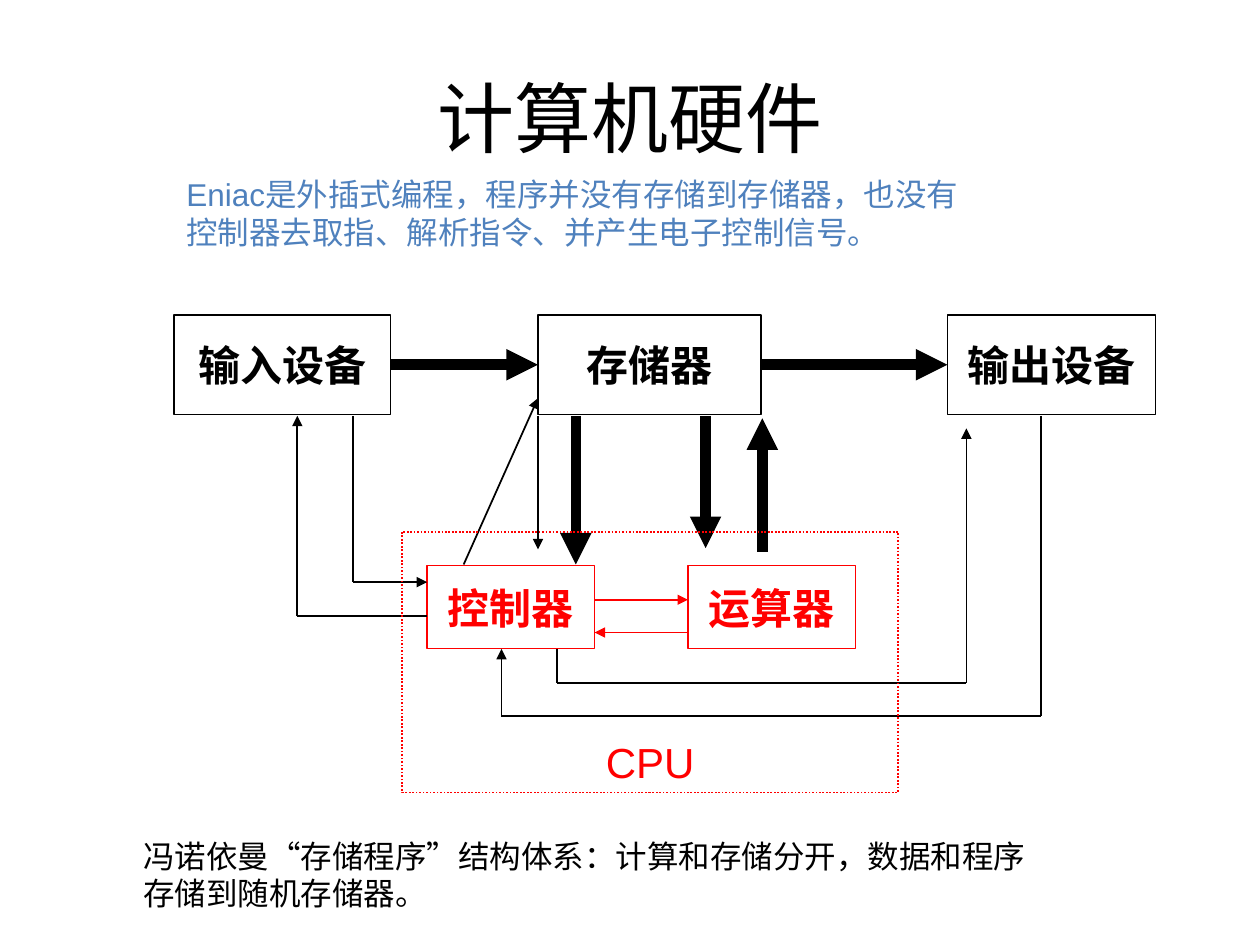
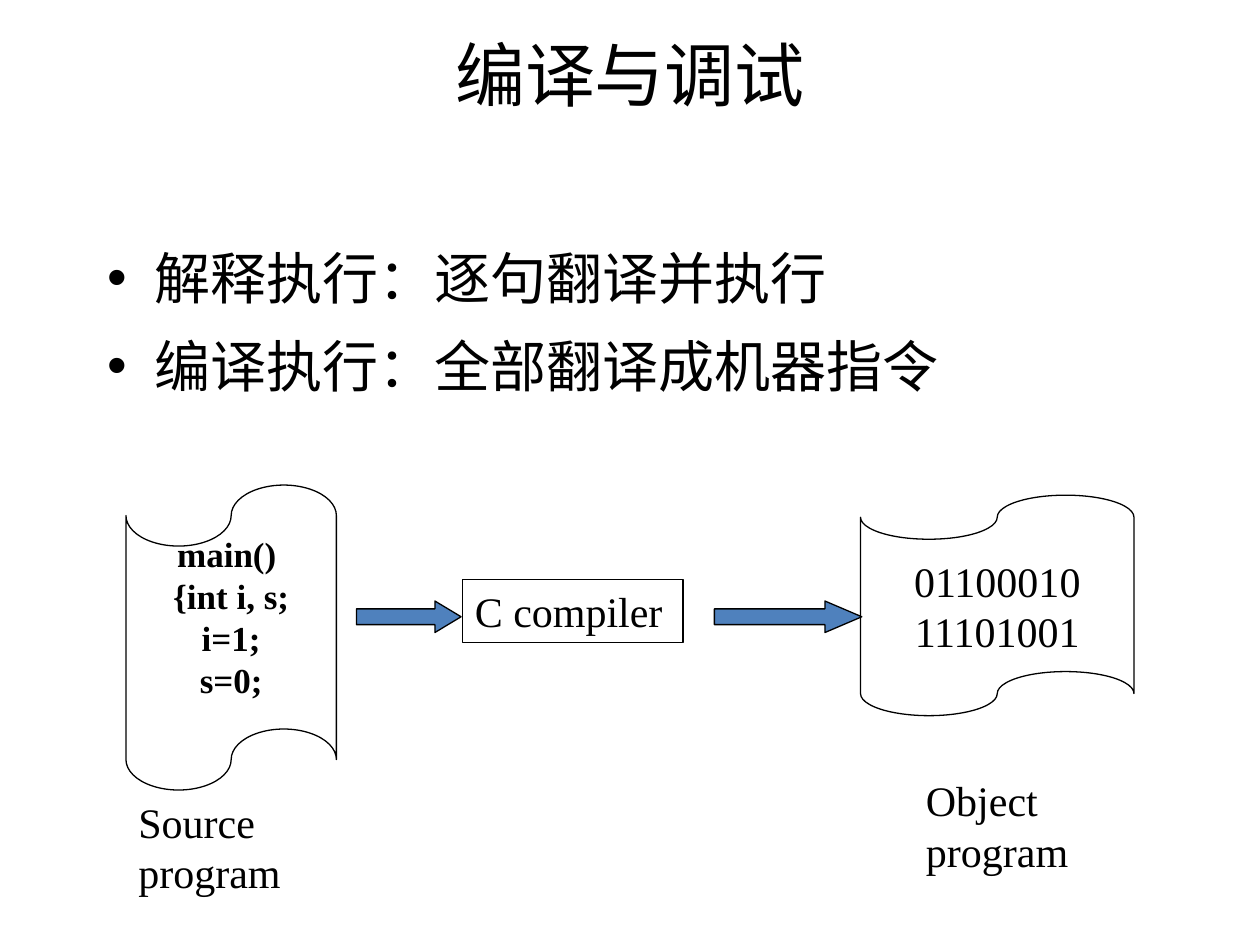
from itertools import pairwise

from lxml.etree import SubElement
from pptx import Presentation
from pptx.dml.color import RGBColor
from pptx.enum.dml import MSO_LINE
from pptx.enum.shapes import MSO_CONNECTOR, MSO_SHAPE
from pptx.enum.text import MSO_ANCHOR, MSO_AUTO_SIZE, PP_ALIGN
from pptx.oxml.ns import qn
from pptx.util import Inches, Pt

BLACK = RGBColor(0x00, 0x00, 0x00)
RED = RGBColor(0xFF, 0x00, 0x00)
BLUE = RGBColor(0x4F, 0x81, 0xBD)

TITLE_FONT = "Calibri"
DIAGRAM_FONT = "Times New Roman"
NOTE_FONT = "Arial"

TITLE_ONLY, TITLE_AND_CONTENT = 5, 1
LEFT, RIGHT = 1, 3
THIN, THICK = 1, 6


class Deck:
    def __init__(self):
        self.presentation = Presentation()
        self.presentation.slide_width = Inches(10)
        self.presentation.slide_height = Inches(7.5)
        self.slide = None

    def new_slide(self, layout, title, title_height, title_size):
        layouts = self.presentation.slide_layouts
        self.slide = self.presentation.slides.add_slide(layouts[layout])
        shape = self.slide.shapes.title
        self.place(shape, 0.5, 0.3, 9, title_height)
        self.fill_text(shape, [title], TITLE_FONT, title_size, align=PP_ALIGN.CENTER,
                       anchor=MSO_ANCHOR.MIDDLE)

    def place(self, shape, left, top, width, height):
        shape.left, shape.top = Inches(left), Inches(top)
        shape.width, shape.height = Inches(width), Inches(height)

    def fill_text(self, shape, lines, font, size, color=BLACK, bold=False,
                  align=PP_ALIGN.LEFT, anchor=MSO_ANCHOR.TOP, wrap=True):
        frame = shape.text_frame
        frame.auto_size = MSO_AUTO_SIZE.NONE
        frame.word_wrap = wrap
        frame.vertical_anchor = anchor
        for index, line in enumerate(lines):
            paragraph = frame.add_paragraph() if index else frame.paragraphs[0]
            paragraph.alignment = align
            run = paragraph.add_run()
            run.text = line
            run.font.name = font
            run.font.size = Pt(size)
            run.font.bold = bold
            run.font.color.rgb = color

    def bullets(self, lines, left, top, width, height):
        body = self.slide.placeholders[1]
        self.place(body, left, top, width, height)
        self.fill_text(body, lines, TITLE_FONT, 32)
        for index, paragraph in enumerate(body.text_frame.paragraphs):
            paragraph.line_spacing = 1.1
            paragraph.space_before = Pt(8 if index else 0)

    def text(self, content, left, top, width, height, font, size, color=BLACK,
             align=PP_ALIGN.LEFT):
        box = self.slide.shapes.add_textbox(
            Inches(left), Inches(top), Inches(width), Inches(height))
        self.fill_text(box, [content], font, size, color, align=align)

    def shape(self, kind, left, top, width, height, color=BLACK, fill=None,
              line_width=0.75):
        shape = self.slide.shapes.add_shape(
            kind, Inches(left), Inches(top), Inches(width), Inches(height))
        shape.shadow.inherit = False
        if fill is None:
            shape.fill.background()
        else:
            shape.fill.solid()
            shape.fill.fore_color.rgb = fill
        shape.line.color.rgb = color
        shape.line.width = Pt(line_width)
        return shape

    def unit(self, name, left, top, width, height, color=BLACK):
        """Draw one labelled hardware unit."""
        box = self.shape(MSO_SHAPE.RECTANGLE, left, top, width, height, color)
        self.fill_text(box, [name], DIAGRAM_FONT, 24, color, bold=True,
                       align=PP_ALIGN.CENTER, anchor=MSO_ANCHOR.MIDDLE)
        return box

    def tape(self, lines, left, top, width, height, size, bold=False):
        tape = self.shape(MSO_SHAPE.FLOWCHART_PUNCHED_TAPE, left, top, width, height)
        self.fill_text(tape, lines, DIAGRAM_FONT, size, bold=bold,
                       align=PP_ALIGN.CENTER, anchor=MSO_ANCHOR.MIDDLE, wrap=False)
        return tape

    def block_arrow(self, left, width, height=0.25):
        """Draw a block arrow whose head takes a quarter of its length."""
        arrow = self.shape(MSO_SHAPE.RIGHT_ARROW, left, 4.77, width, height, fill=BLUE)
        arrow.adjustments[1] = width / 4 / height

    def line(self, start, end, width=THIN, color=BLACK, arrow=True):
        connector = self.slide.shapes.add_connector(
            MSO_CONNECTOR.STRAIGHT, *(Inches(value) for value in (*start, *end)))
        connector.line.color.rgb = color
        connector.line.width = Pt(width)
        properties = connector._element.spPr
        if arrow:
            SubElement(properties.find(qn("a:ln")), qn("a:tailEnd"), type="triangle")
        SubElement(properties, qn("a:effectLst"))
        return connector

    def route(self, *points):
        """Join the points with thin lines, with an arrowhead on the last."""
        for start, end in pairwise(points):
            self.line(start, end, arrow=end == points[-1])

    def link(self, source, target):
        """Join the right side of one unit to the left side of another."""
        connector = self.line((0, 0), (1, 0), THICK)
        connector.begin_connect(source, RIGHT)
        connector.end_connect(target, LEFT)


def hardware_slide(deck):
    deck.new_slide(TITLE_ONLY, "计算机硬件", 1.25, 44)

    device_top, device_height = 2.5, 0.79
    memory = deck.unit("存储器", 4.27, device_top, 1.77, device_height)
    input_device = deck.unit("输入设备", 1.38, device_top, 1.72, device_height)
    output_device = deck.unit("输出设备", 7.52, device_top, 1.65, device_height)
    for name, left in (("控制器", 3.39), ("运算器", 5.46)):
        deck.unit(name, left, 4.49, 1.33, 0.66, RED)

    deck.link(input_device, memory)
    deck.link(memory, output_device)
    for x, start, end in ((4.57, 3.3, 4.48), (5.6, 3.3, 4.35), (6.05, 4.38, 3.32)):
        deck.line((x, start), (x, end), THICK)

    deck.route((4.27, 3.3), (4.27, 4.36))
    deck.route((3.68, 4.48), (4.27, 3.16))
    deck.line((4.72, 4.76), (5.46, 4.76), color=RED)
    deck.line((5.46, 5.02), (4.72, 5.02), color=RED)
    deck.route((2.8, 3.3), (2.8, 4.62), (3.39, 4.62))
    deck.route((3.39, 4.89), (2.36, 4.89), (2.36, 3.3))
    deck.route((4.42, 5.15), (4.42, 5.42), (7.67, 5.42), (7.67, 3.4))
    deck.route((8.26, 3.3), (8.26, 5.68), (3.98, 5.68), (3.98, 5.15))

    cpu = deck.shape(MSO_SHAPE.RECTANGLE, 3.19, 4.22, 3.94, 2.07, RED, line_width=1)
    cpu.line.dash_style = MSO_LINE.ROUND_DOT
    deck.text("CPU", 4.45, 5.8, 1.42, 0.5, NOTE_FONT, 24, RED, PP_ALIGN.CENTER)

    deck.text("冯诺依曼“存储程序”结构体系：计算和存储分开，数据和程序存储到随机存储器。",
              1.04, 6.59, 7.35, 0.7, NOTE_FONT, 18)
    deck.text("Eniac是外插式编程，程序并没有存储到存储器，也没有控制器去取指、解析指令、并产生电子控制信号。",
              1.38, 1.34, 6.48, 0.7, NOTE_FONT, 18, BLUE)


def compile_slide(deck):
    deck.new_slide(TITLE_AND_CONTENT, "编译与调试", 0.57, 40)
    deck.bullets(["解释执行：逐句翻译并执行", "编译执行：全部翻译成机器指令"],
                 0.75, 1.83, 8.5, 1.92)

    source = deck.tape(["main() ", "{int i, s;", "i=1;", "s=0;"],
                       1, 3.85, 1.67, 2.42, 20, bold=True)
    source.text_frame.margin_left = source.text_frame.margin_right = 0
    source.text_frame.margin_bottom = Inches(0.38)
    compiler = deck.shape(MSO_SHAPE.RECTANGLE, 3.67, 4.6, 1.75, 0.5)
    deck.fill_text(compiler, ["C compiler"], DIAGRAM_FONT, 24)
    deck.tape(["01100010", "11101001"], 6.83, 3.93, 2.17, 1.75, 24)

    deck.block_arrow(2.83, 0.83)
    deck.block_arrow(5.67, 1.17)

    deck.text("Source program", 1, 6.27, 1.83, 0.9, DIAGRAM_FONT, 24)
    deck.text("Object program", 7.25, 6.1, 1.58, 0.9, DIAGRAM_FONT, 24)


def main():
    deck = Deck()
    hardware_slide(deck)
    compile_slide(deck)
    deck.presentation.save("out.pptx")


if __name__ == "__main__":
    main()
